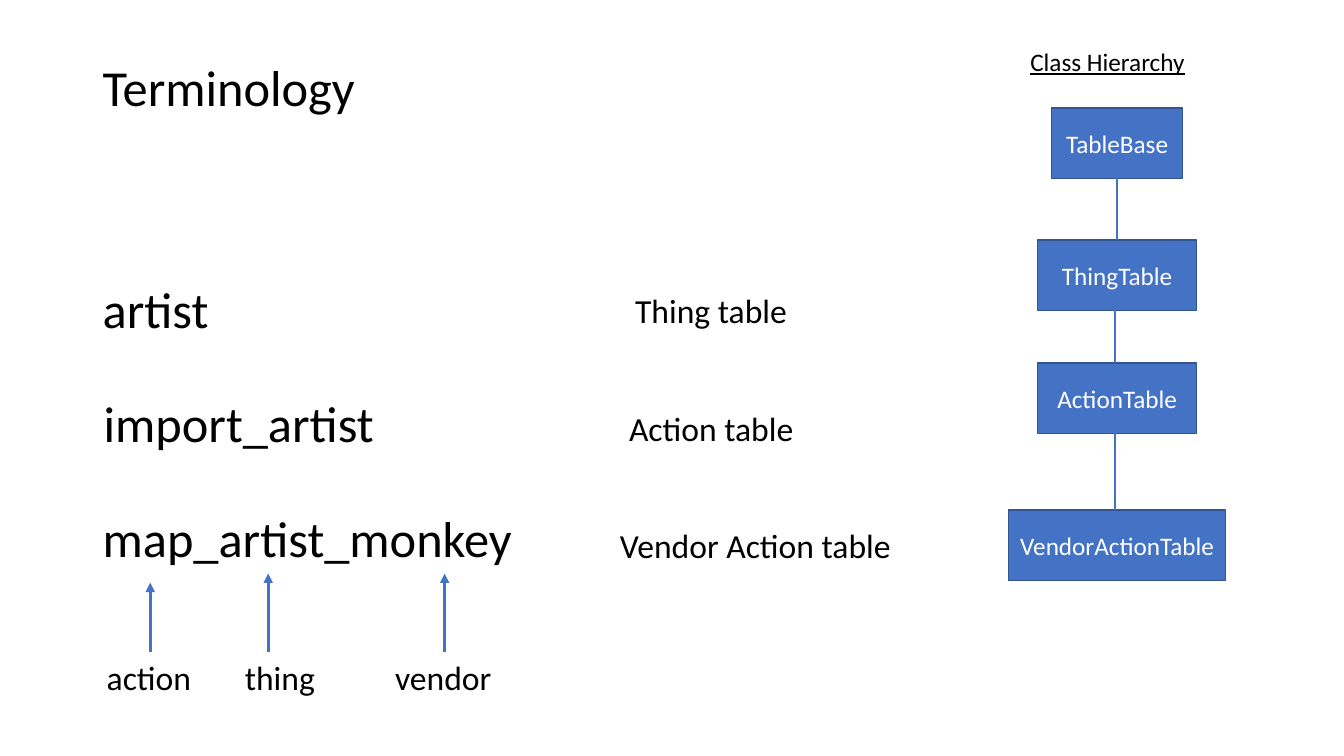
from lxml import etree
from pptx import Presentation
from pptx.dml.color import RGBColor
from pptx.enum.shapes import MSO_CONNECTOR, MSO_SHAPE
from pptx.enum.text import MSO_ANCHOR, PP_ALIGN
from pptx.oxml.ns import qn
from pptx.util import Inches, Pt

FONT, BLACK, WHITE, BLUE, EDGE = "Calibri", "000000", "FFFFFF", "4472C4", "325491"

# text, left, top, width, height
TITLE = ("Terminology", 0.92, 0.4, 11.5, 0.99)
HEADING = ("Class Hierarchy", 10.12, 0.41, 1.75, 0.4)

# text, left, top, width
TABLE_NAMES = [
    ("artist", 0.92, 2.71, 1.26),
    ("import_artist", 0.93, 3.84, 2.91),
    ("map_artist_monkey", 0.92, 4.98, 4.3),
]
TABLE_KINDS = [
    ("Thing table", 6.2, 2.83, 1.72),
    ("Action table", 6.14, 4.0, 1.85),
    ("Vendor Action table", 6.05, 5.16, 2.92),
]
# text, left, width, arrow x, arrow tip y
NAME_PARTS = [
    ("action", 0.96, 1.05, 1.49, 5.78),
    ("thing", 2.33, 0.9, 2.66, 5.69),
    ("vendor", 3.82, 1.17, 4.41, 5.69),
]
PARTS_TOP = 6.47

# text, top, width, from base class to most derived
CLASSES = [
    ("TableBase", 1.07, 1.3),
    ("ThingTable", 2.38, 1.58),
    ("ActionTable", 3.6, 1.58),
    ("VendorActionTable", 5.06, 2.15),
]
CLASS_CENTER, CLASS_HEIGHT = 11.08, 0.7
LINK_XS = [11.08, 11.06, 11.06]


def color(hex_value):
    """Turn a hex string into a colour."""
    return RGBColor.from_string(hex_value)


def write(shape, text, size, hex_value=BLACK):
    """Put one run of text in a shape and return the run."""
    run = shape.text_frame.paragraphs[0].add_run()
    run.text = text
    run.font.name, run.font.size = FONT, Pt(size)
    run.font.color.rgb = color(hex_value)
    return run


def add_label(text, left, top, width, height, size):
    """Add a text box on a single line and return it with its run."""
    box = slide.shapes.add_textbox(*map(Inches, (left, top, width, height)))
    box.text_frame.word_wrap = False
    return box, write(box, text, size)


def add_class(text, top, width):
    """Add a class box centred on the hierarchy axis."""
    box = slide.shapes.add_shape(
        MSO_SHAPE.RECTANGLE, Inches(CLASS_CENTER - width / 2), Inches(top),
        Inches(width), Inches(CLASS_HEIGHT))
    box.shadow.inherit = False
    box.fill.solid()
    box.fill.fore_color.rgb = color(BLUE)
    box.line.color.rgb = color(EDGE)
    box.line.width = Pt(1)
    box.text_frame.word_wrap = True
    box.text_frame.vertical_anchor = MSO_ANCHOR.MIDDLE
    box.text_frame.paragraphs[0].alignment = PP_ALIGN.CENTER
    write(box, text, 18, WHITE)


def add_line(x, start, end, width, arrow=False):
    """Add a vertical line, with an arrowhead at its end if asked."""
    line = slide.shapes.add_connector(
        MSO_CONNECTOR.STRAIGHT, *map(Inches, (x, start, x, end)))
    line.line.color.rgb = color(BLUE)
    line.line.width = Pt(width)
    if arrow:
        etree.SubElement(line.line._get_or_add_ln(), qn("a:tailEnd"), type="triangle")
    etree.SubElement(line._element.spPr, qn("a:effectLst"))


prs = Presentation()
prs.slide_width, prs.slide_height = Inches(13.33), Inches(7.5)
slide = prs.slides.add_slide(prs.slide_layouts[6])

title, _ = add_label(*TITLE, 36)
title.text_frame.word_wrap = True
title.text_frame.vertical_anchor = MSO_ANCHOR.MIDDLE
title.text_frame.paragraphs[0].line_spacing = 0.9

for name in TABLE_NAMES:
    add_label(*name, 0.71, 36)
for kind in TABLE_KINDS:
    add_label(*kind, 0.5, 24)
for text, left, width, x, tip in NAME_PARTS:
    add_label(text, left, PARTS_TOP, width, 0.5, 24)
    add_line(x, PARTS_TOP, tip, 2.25, arrow=True)

_, heading_run = add_label(*HEADING, 18)
heading_run.font.underline = True
for entry in CLASSES:
    add_class(*entry)
for x, (_, upper, _), (_, lower, _) in zip(LINK_XS, CLASSES, CLASSES[1:]):
    add_line(x, upper + CLASS_HEIGHT, lower, 1.5)

prs.save("out.pptx")
